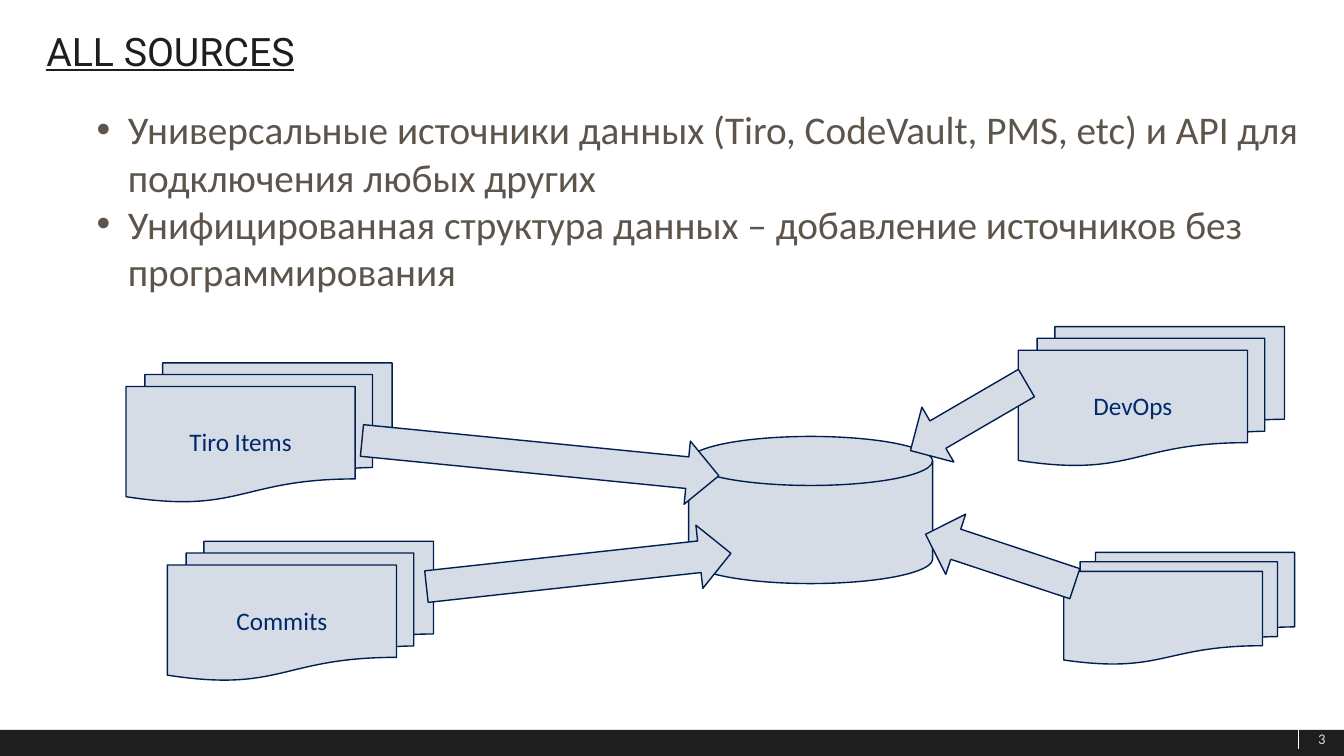
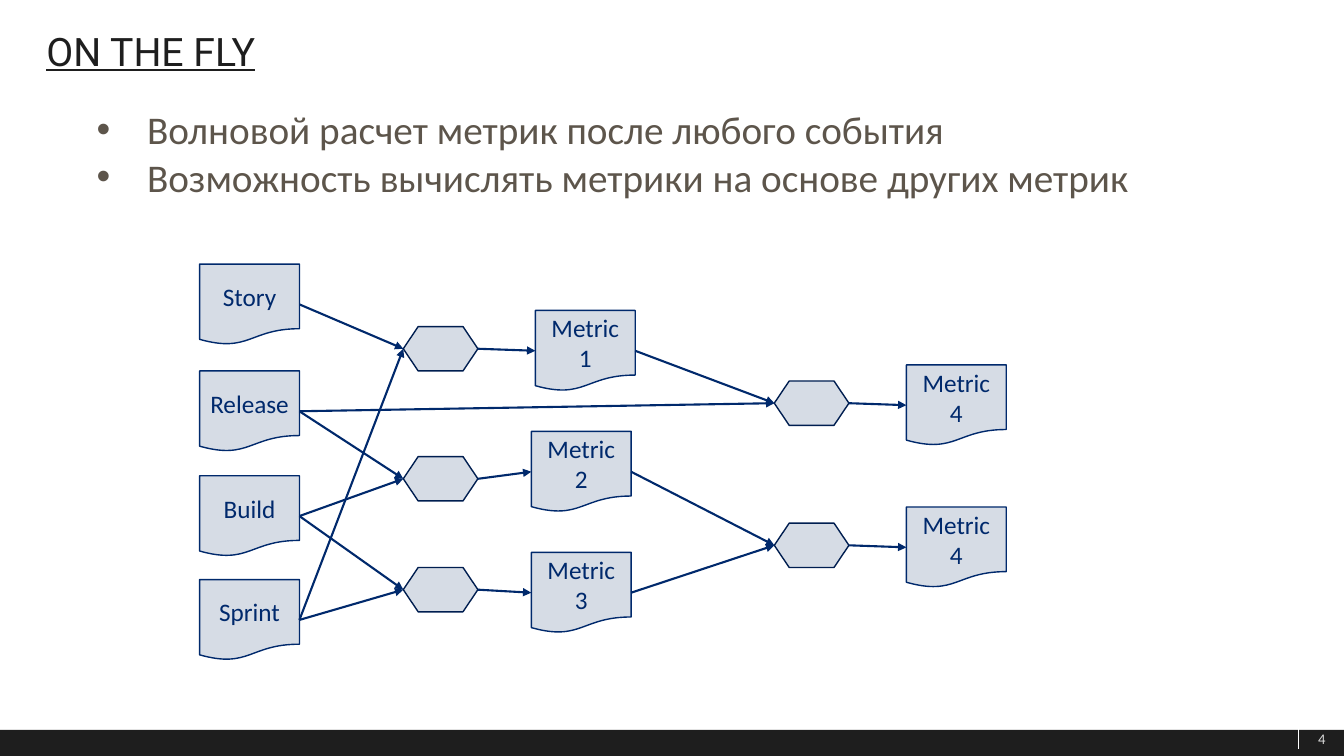
from dataclasses import dataclass
from math import atan2, degrees, hypot

from lxml.etree import SubElement
from pptx import Presentation
from pptx.dml.color import RGBColor
from pptx.enum.shapes import MSO_CONNECTOR as Connector, MSO_SHAPE as Shape
from pptx.enum.text import MSO_ANCHOR as Anchor, PP_ALIGN as Align
from pptx.oxml.ns import qn
from pptx.util import Inches, Pt


@dataclass(frozen=True)
class Theme:
    dark: str = "1E1E1E"
    white: str = "FFFFFF"
    number: str = "D9D9D9"
    body: str = "5D554B"
    fill: str = "D6DCE5"
    outline: str = "001E50"
    accent: str = "00296C"
    heading_font: str = "Roboto"
    text_font: str = "Calibri"
    heading_size: float = 28
    body_size: float = 28
    label_size: float = 18
    number_size: float = 10.5


THEME = Theme()
LEFT, RIGHT = 1, 3  # connection sites

# Content: slide 1
SOURCES = {
    "title": "ALL SOURCES",
    "number": "3",
    "indent": (0.81, 0.31),
    "bullets": [
        "Универсальные источники данных (Tiro, CodeVault, PMS, etc) и API для подключения любых других",
        "Унифицированная структура данных – добавление источников без программирования",
    ],
}
STORE = (6.83, 4.33, 2.42, 1.46)
STACKS = [  # label, left, top, width, height
    ("Tiro Items", 1.25, 3.6, 2.64, 1.38),
    ("Commits", 1.66, 5.37, 2.64, 1.38),
    ("DevOps", 10.1, 3.24, 2.64, 1.38),
    ("", 10.55, 5.48, 2.29, 1.11),
]
FLOWS = [  # tail, tip
    ((3.59, 4.37), (7.13, 4.72)),
    ((4.23, 5.82), (7.25, 5.49)),
    ((10.18, 3.8), (9.03, 4.47)),
    ((10.66, 5.79), (9.18, 5.3)),
]
FLOW_HEIGHT = 0.63

# Content: slide 2
METRICS = {
    "title": "ON THE FLY",
    "number": "4",
    "indent": (1, 0.5),
    "bullets": [
        "Волновой расчет метрик после любого события",
        "Возможность вычислять метрики на основе других метрик",
    ],
}
DOCUMENT_SIZE = (0.99, 0.8)
DOCUMENTS = {  # key: label, left, top
    "story": ("Story", 1.98, 2.62),
    "release": ("Release", 1.98, 3.68),
    "build": ("Build", 1.98, 4.72),
    "sprint": ("Sprint", 1.98, 5.75),
    "metric 1": ("Metric1", 5.31, 3.08),
    "metric 2": ("Metric 2", 5.27, 4.28),
    "metric 3": ("Metric 3", 5.27, 5.48),
    "upper result": ("Metric4", 8.99, 3.62),
    "lower result": ("Metric4", 8.99, 5.03),
}
STEP_SIZE = (0.74, 0.44)
STEPS = [  # left, top, inputs, output
    (4, 3.24, ["story", "sprint"], "metric 1"),
    (4, 4.53, ["release", "build"], "metric 2"),
    (4, 5.63, ["build", "sprint"], "metric 3"),
    (7.68, 3.78, ["metric 1", "release"], "upper result"),
    (7.68, 5.19, ["metric 2", "metric 3"], "lower result"),
]


def rgb(value):
    return RGBColor.from_string(value)


def inches(*values):
    return [Inches(value) for value in values]


def add_run(paragraph, text, size, color, font=THEME.text_font):
    run = paragraph.add_run()
    run.text = text
    run.font.name = font
    run.font.size = Pt(size)
    run.font.color.rgb = rgb(color)
    return run


def add_box(slide, kind, box, label="", fill=THEME.fill, outline=THEME.outline):
    shape = slide.shapes.add_shape(kind, *inches(*box))
    shape.shadow.inherit = False
    shape.fill.solid()
    shape.fill.fore_color.rgb = rgb(fill)
    shape.line.color.rgb = rgb(outline)
    shape.line.width = Pt(1)
    if label:
        shape.text_frame.vertical_anchor = Anchor.MIDDLE
        paragraph = shape.text_frame.paragraphs[0]
        paragraph.alignment = Align.CENTER
        add_run(paragraph, label, THEME.label_size, THEME.accent)
    return shape


def add_line(slide, start, end, color, width):
    line = slide.shapes.add_connector(Connector.STRAIGHT, *inches(*start, *end))
    line.line.color.rgb = rgb(color)
    line.line.width = Pt(width)
    SubElement(line.element.spPr, qn("a:effectLst"))
    return line


def link(slide, source, target):
    line = add_line(slide, (0, 0), (1, 1), THEME.accent, 1.5)
    line.begin_connect(source, RIGHT)
    line.end_connect(target, LEFT)
    outline = line.element.spPr.find(qn("a:ln"))
    SubElement(outline, qn("a:tailEnd"), type="triangle")


def add_flow(slide, tail, tip):
    """Draw a block arrow from tail to tip."""
    across, down = tip[0] - tail[0], tip[1] - tail[1]
    length = hypot(across, down)
    left = (tail[0] + tip[0] - length) / 2
    top = (tail[1] + tip[1] - FLOW_HEIGHT) / 2
    arrow = add_box(slide, Shape.RIGHT_ARROW, (left, top, length, FLOW_HEIGHT))
    arrow.rotation = degrees(atan2(down, across))


def add_footer(layout, slide):
    """Build the footer band and rule, then move them to the shared layout."""
    band = add_box(slide, Shape.RECTANGLE, (0, 7.24, 13.33, 0.28), fill=THEME.dark)
    band.line.fill.background()
    rule = add_line(slide, (12.88, 7.22), (12.88, 7.43), THEME.white, 0.5)
    for part in (band, rule):
        layout.shapes.element.append(part.element)


def add_bullets(slide, texts, indent):
    frame = slide.shapes.add_textbox(*inches(0.36, 1, 12.62, 1.99)).text_frame
    frame.word_wrap = True
    margin, hanging = inches(*indent)
    for index, text in enumerate(texts):
        paragraph = frame.add_paragraph() if index else frame.paragraphs[0]
        add_run(paragraph, text, THEME.body_size, THEME.body)
        properties = paragraph._p.get_or_add_pPr()
        properties.set("marL", str(margin))
        properties.set("indent", str(-hanging))
        SubElement(properties, qn("a:buFont"), typeface="Arial")
        SubElement(properties, qn("a:buChar"), char="•")


def add_page(presentation, layout, content):
    slide = presentation.slides.add_slide(layout)

    # Title
    title = slide.shapes.title
    title.left, title.top, title.width, title.height = inches(0.36, 0.22, 9.5, 1.39)
    title.text_frame.vertical_anchor = Anchor.TOP
    paragraph = title.text_frame.paragraphs[0]
    paragraph.alignment = Align.LEFT
    run = add_run(paragraph, content["title"], THEME.heading_size, THEME.dark, THEME.heading_font)
    run.font.underline = True

    # Page number
    number = slide.shapes.add_textbox(*inches(12.92, 7.13, 0.38, 0.4)).text_frame
    number.word_wrap = False
    number.vertical_anchor = Anchor.MIDDLE
    number.paragraphs[0].alignment = Align.CENTER
    add_run(number.paragraphs[0], content["number"], THEME.number_size, THEME.number)

    add_bullets(slide, content["bullets"], content["indent"])
    return slide


def draw_sources(slide):
    add_box(slide, Shape.FLOWCHART_MAGNETIC_DISK, STORE)
    for label, *box in STACKS:
        add_box(slide, Shape.FLOWCHART_MULTIDOCUMENT, box, label)
    for tail, tip in FLOWS:
        add_flow(slide, tail, tip)


def draw_metrics(slide):
    documents = {
        key: add_box(slide, Shape.FLOWCHART_DOCUMENT, (left, top, *DOCUMENT_SIZE),
                     label, outline=THEME.accent)
        for key, (label, left, top) in DOCUMENTS.items()
    }
    for left, top, sources, result in STEPS:
        step = add_box(slide, Shape.FLOWCHART_PREPARATION, (left, top, *STEP_SIZE))
        for source in sources:
            link(slide, documents[source], step)
        link(slide, step, documents[result])


def main():
    presentation = Presentation()
    presentation.slide_width, presentation.slide_height = inches(13.33, 7.5)
    layout = presentation.slide_layouts.get_by_name("Title Only")

    sources = add_page(presentation, layout, SOURCES)
    add_footer(layout, sources)
    draw_sources(sources)
    draw_metrics(add_page(presentation, layout, METRICS))

    presentation.save("out.pptx")


if __name__ == "__main__":
    main()
